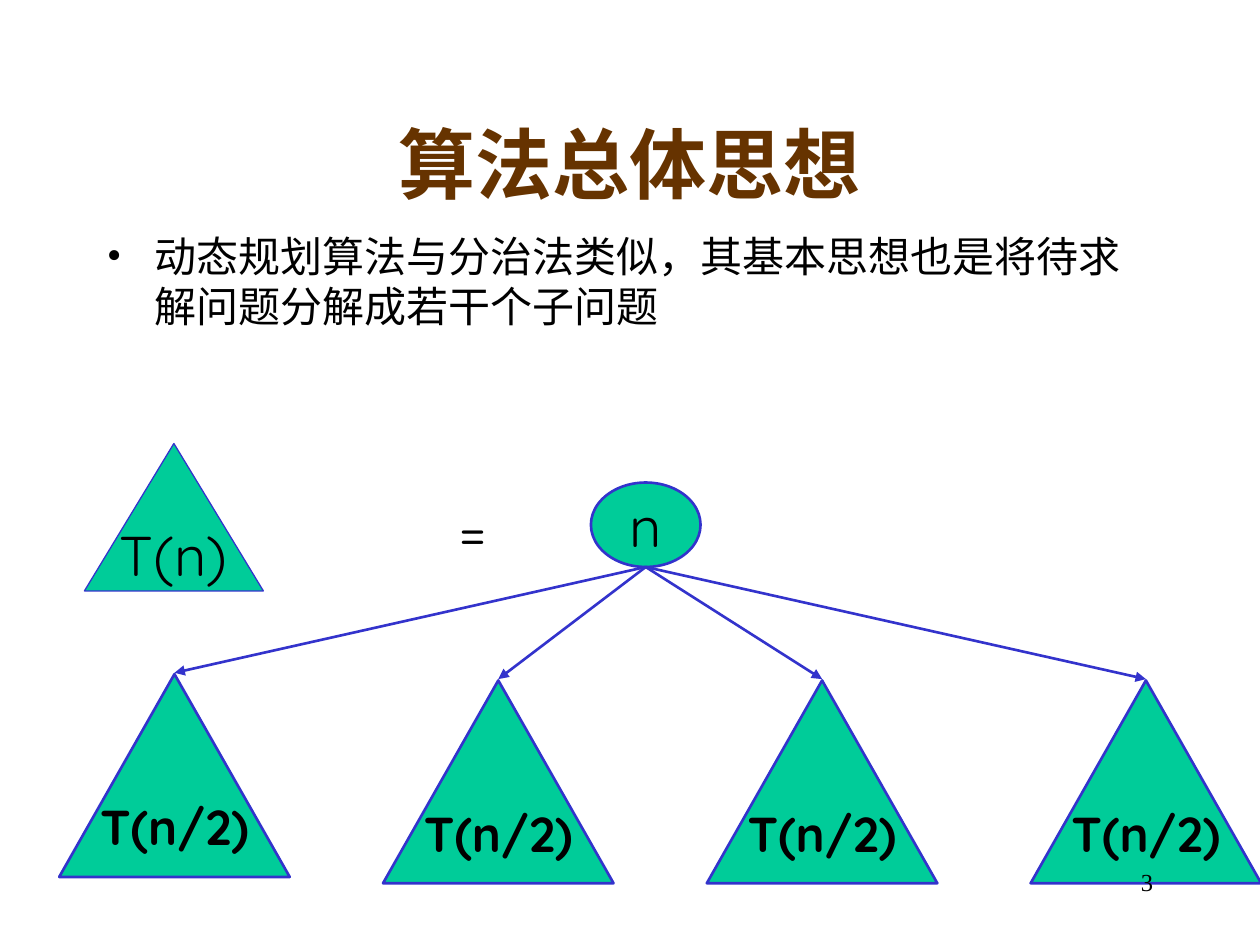
from dataclasses import dataclass
from typing import Any

from pptx import Presentation
from pptx.dml.color import RGBColor
from pptx.enum.shapes import MSO_CONNECTOR as Link, MSO_SHAPE as Form
from pptx.enum.text import MSO_ANCHOR as Anchor, PP_ALIGN as Align
from pptx.oxml.ns import qn
from pptx.util import Inches, Pt
from lxml.etree import SubElement

HUES = {"title": "663300", "text": "000000", "fill": "00CC99", "line": "3333CC"}
SANS, SERIF, HAN = "Quicksand", "Times New Roman", "Noto Sans CJK SC"


@dataclass
class Node:
    form: Any
    left: float
    top: float
    width: float
    height: float
    label: str
    size: int = 32
    bold: bool = False
    line: float = 1.5


def hue(name: str) -> RGBColor:
    return RGBColor.from_string(HUES[name])


def style(frame: Any, text: str, size: int, face: str, align: Any = Align.CENTER,
          bold: bool = False, color: str = "text") -> None:
    frame.text = text
    para = frame.paragraphs[0]
    para.alignment = align
    for run in para.runs:
        font = run.font
        font.size, font.name, font.bold = Pt(size), face, bold
        font.color.rgb = hue(color)
        latin = font._element.find(qn("a:latin"))
        east = latin.makeelement(qn("a:ea"), {"typeface": HAN})
        latin.addnext(east)


def add_node(slide: Any, node: Node) -> None:
    shape = slide.shapes.add_shape(
        node.form, Inches(node.left), Inches(node.top),
        Inches(node.width), Inches(node.height))
    shape.shadow.inherit = False
    shape.fill.solid()
    shape.fill.fore_color.rgb = hue("fill")
    shape.line.color.rgb = hue("line")
    shape.line.width = Pt(node.line)
    frame = shape.text_frame
    frame.word_wrap = False
    frame.vertical_anchor = Anchor.MIDDLE
    style(frame, node.label, node.size, SANS, bold=node.bold)


def add_arrow(slide: Any, start: tuple[float, float], end: tuple[float, float]) -> None:
    arrow = slide.shapes.add_connector(
        Link.STRAIGHT, *(Inches(n) for n in (*start, *end)))
    arrow.line.color.rgb = hue("line")
    arrow.line.width = Pt(1.5)
    SubElement(arrow.line._get_or_add_ln(), qn("a:tailEnd"), type="triangle")
    SubElement(arrow._element.spPr, qn("a:effectLst"))


def add_text(slide: Any, left: float, top: float, width: float, height: float,
             text: str, size: int, face: str, align: Any) -> Any:
    box = slide.shapes.add_textbox(
        Inches(left), Inches(top), Inches(width), Inches(height))
    box.text_frame.word_wrap = True
    style(box.text_frame, text, size, face, align)
    return box


def main() -> None:
    deck = Presentation()
    deck.slide_width, deck.slide_height = Inches(10), Inches(7.5)
    slide = deck.slides.add_slide(deck.slide_layouts[5])

    # Title
    title = slide.shapes.title
    title.left, title.top = Inches(0.75), Inches(0.67)
    title.width, title.height = Inches(8.5), Inches(1.25)
    title.text_frame.vertical_anchor = Anchor.MIDDLE
    style(title.text_frame, "算法总体思想", 44, SERIF, bold=True, color="title")

    # Bullet
    body = add_text(
        slide, 0.75, 1.78, 8.5, 4.5,
        "动态规划算法与分治法类似，其基本思想也是将待求解问题分解成若干个子问题",
        24, HAN, Align.LEFT)
    props = body.text_frame.paragraphs[0]._p.get_or_add_pPr()
    props.set("marL", str(Inches(0.38)))
    props.set("indent", str(-Inches(0.38)))
    SubElement(props, qn("a:buFont"), typeface=SERIF)
    SubElement(props, qn("a:buChar"), char="•")

    # Root and its arrows to the four parts
    root = Node(Form.OVAL, 4.69, 3.83, 0.87, 0.67, "n")
    add_node(slide, root)
    step, wide = 2.57, 1.83
    parts = [Node(Form.ISOSCELES_TRIANGLE, 0.47 + i * step, top, wide, 1.61,
                  "T(n/2)", 28, True)
             for i, top in enumerate((5.35, 5.4, 5.4, 5.4))]
    foot = (root.left + root.width / 2, root.top + root.height)
    for part in parts:
        add_arrow(slide, foot, (part.left + wide / 2, part.top - 0.01))
    for part in parts:
        add_node(slide, part)

    # Left side of the equation
    add_node(slide, Node(Form.ISOSCELES_TRIANGLE, 0.67, 3.52, 1.42, 1.17,
                         "T(n)", line=0.75))
    add_text(slide, 3.17, 3.88, 1.17, 0.64, "=", 32, SANS, Align.CENTER)

    # Page number
    add_text(slide, 7.17, 6.83, 2.08, 0.5, "3", 14, SERIF, Align.RIGHT)

    deck.save("out.pptx")


if __name__ == "__main__":
    main()
